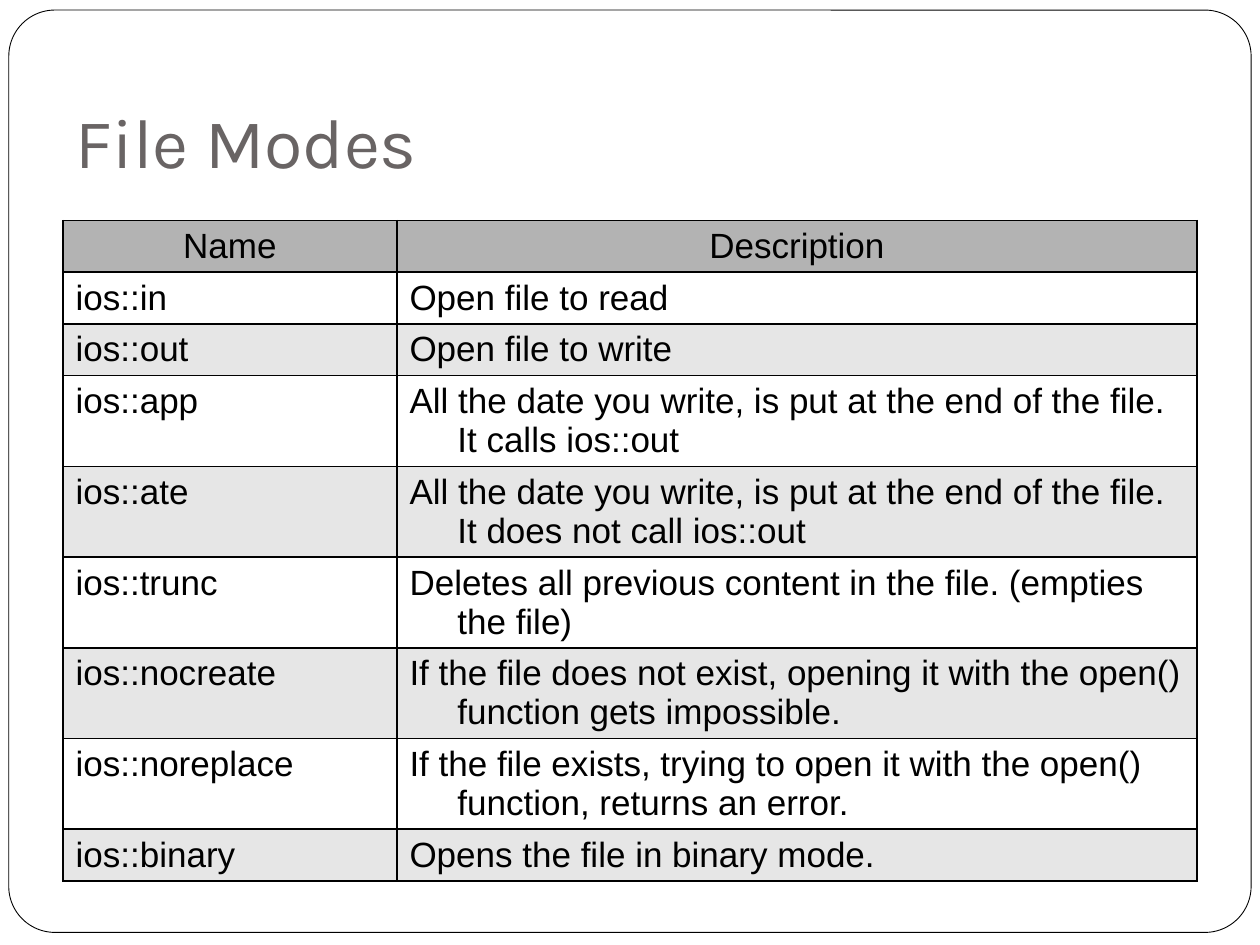
"""Build the File Modes slide with its table of stream opening modes."""
from lxml import etree
from pptx import Presentation
from pptx import util as u
from pptx.dml.color import RGBColor
from pptx.enum import shapes, text
from pptx.oxml import ns

MODES = [
    ("Name", "Description"),
    ("ios::in", "Open file to read"),
    ("ios::out", "Open file to write"),
    ("ios::app", "All the date you write, is put at the end of the file. It calls ios::out"),
    ("ios::ate", "All the date you write, is put at the end of the file. It does not call ios::out"),
    ("ios::trunc", "Deletes all previous content in the file. (empties the file)"),
    ("ios::nocreate", "If the file does not exist, opening it with the open() function gets impossible."),
    ("ios::noreplace", "If the file exists, trying to open it with the open() function, returns an error."),
    ("ios::binary", "Opens the file in binary mode."),
]
WIDTHS = (2.65, 6.35)
ONE_LINE, TWO_LINES = 0.39, 0.66
WRAP_AT = 50


def rgb(value):
    return RGBColor.from_string(value)


class Slide:
    ink = "000000"
    title_color = "696464"
    header_fill = "B3B3B3"
    band_fill = "E6E6E6"
    title_font = "Karla"
    body_font = "Arial"

    def __init__(self, prs):
        self.s = prs.slides.add_slide(prs.slide_layouts[5])

    def font(self, p, name, size, color):
        p.font.name = name
        p.font.size = u.Pt(size)
        p.font.color.rgb = rgb(color)

    def frame(self, *box):
        sp = self.s.shapes.add_shape(
            shapes.MSO_SHAPE.ROUNDED_RECTANGLE, *map(u.Inches, box))
        sp.adjustments[0] = 0.05
        sp.shadow.inherit = False
        sp.fill.solid()
        sp.fill.fore_color.rgb = rgb("FFFFFF")
        sp.line.color.rgb = rgb(self.ink)
        sp.line.width = u.Pt(0.5)
        self.s.shapes.title.element.addprevious(sp.element)

    def title(self, words, *box):
        sp = self.s.shapes.title
        sp.left, sp.top, sp.width, sp.height = map(u.Inches, box)
        tf = sp.text_frame
        tf.text = words
        tf.vertical_anchor = text.MSO_ANCHOR.BOTTOM
        tf.margin_bottom = u.Inches(0.1)
        p = tf.paragraphs[0]
        p.alignment = text.PP_ALIGN.LEFT
        self.font(p, self.title_font, 40, self.title_color)

    def borders(self, cell):
        tc_pr = cell._tc.get_or_add_tcPr()
        for side in ("lnL", "lnR", "lnT", "lnB"):
            ln = etree.SubElement(tc_pr, ns.qn(f"a:{side}"), w=str(u.Pt(1)))
            fill = etree.SubElement(ln, ns.qn("a:solidFill"))
            etree.SubElement(fill, ns.qn("a:srgbClr"), val=self.ink)

    def cell(self, cell, words, fill, align):
        self.borders(cell)
        if fill:
            cell.fill.solid()
            cell.fill.fore_color.rgb = rgb(fill)
        else:
            cell.fill.background()
        cell.text = words
        p = cell.text_frame.paragraphs[0]
        p.alignment = align
        self.font(p, self.body_font, 20, self.ink)
        p_pr = p._p.get_or_add_pPr()
        p_pr.set("marL", str(u.Inches(0.38)))
        p_pr.set("indent", str(u.Inches(-0.38)))

    def table(self, rows, widths, left, top):
        heights = [TWO_LINES if len(row[1]) > WRAP_AT else ONE_LINE for row in rows]
        box = map(u.Inches, (left, top, sum(widths), sum(heights)))
        table = self.s.shapes.add_table(len(rows), len(widths), *box).table
        table.first_row = table.horz_banding = False
        for column, width in zip(table.columns, widths):
            column.width = u.Inches(width)
        for i, (row, height) in enumerate(zip(rows, heights)):
            table.rows[i].height = u.Inches(height)
            fill = self.header_fill if i == 0 else None if i % 2 else self.band_fill
            align = text.PP_ALIGN.LEFT if i else text.PP_ALIGN.CENTER
            for j, words in enumerate(row):
                self.cell(table.cell(i, j), words, fill, align)


def main():
    prs = Presentation()
    prs.slide_width, prs.slide_height = u.Inches(10), u.Inches(7.5)
    slide = Slide(prs)
    slide.frame(0.07, 0.08, 9.86, 7.32)
    slide.title("File Modes", 0.5, 0.3, 9, 1.25)
    slide.table(MODES, WIDTHS, 0.5, 1.75)
    prs.save("out.pptx")


if __name__ == "__main__":
    main()
